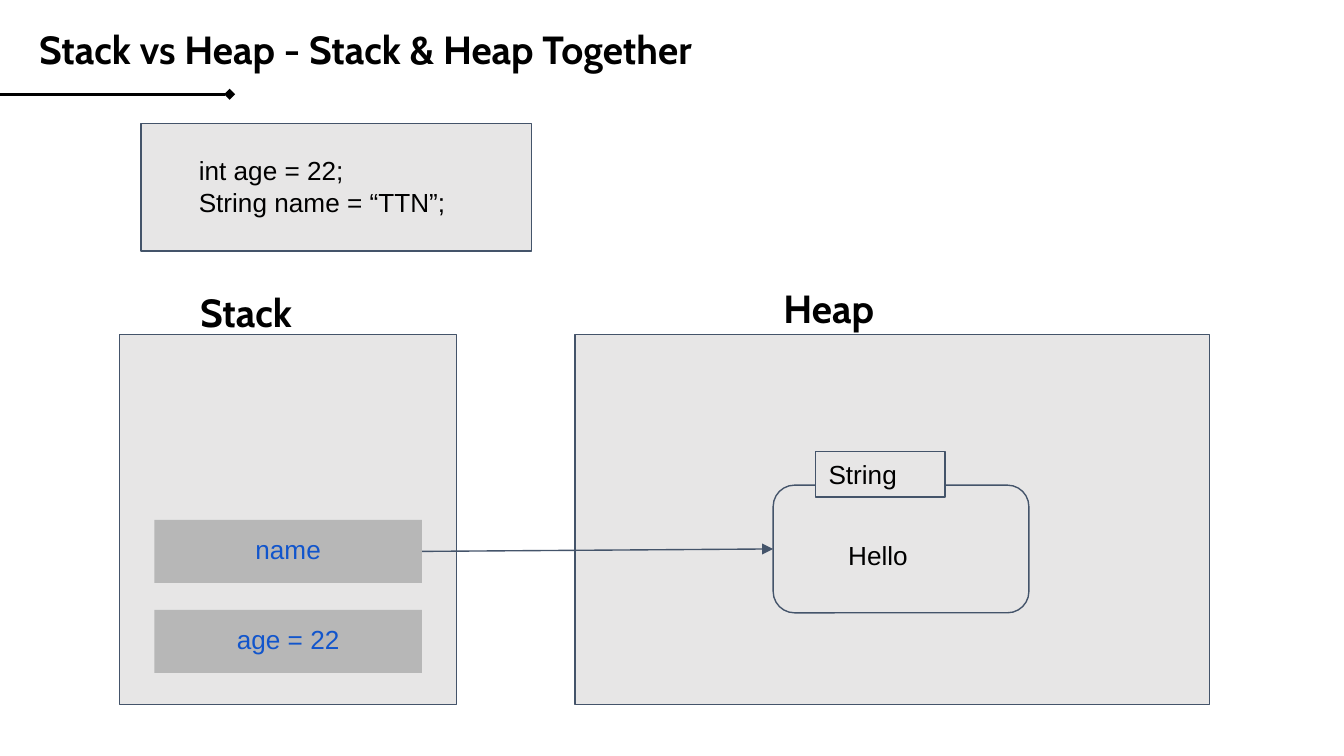
"""Build a slide showing how stack variables relate to heap objects."""
from pptx import Presentation
from pptx.dml.color import RGBColor
from pptx.enum.shapes import MSO_CONNECTOR as CONN, MSO_SHAPE as SHAPE
from pptx.enum.text import MSO_ANCHOR as ANCHOR, PP_ALIGN as ALIGN
from pptx.oxml.ns import qn
from pptx.util import Pt
from lxml.etree import SubElement

BLACK = RGBColor(0x00, 0x00, 0x00)
LIGHT = RGBColor(0xE7, 0xE6, 0xE6)
GRAY = RGBColor(0xB7, 0xB7, 0xB7)
SLATE = RGBColor(0x44, 0x54, 0x6A)
BLUE = RGBColor(0x11, 0x55, 0xCC)

prs = Presentation()
prs.slide_width, prs.slide_height = Pt(720), Pt(405)
s = prs.slides.add_slide(prs.slide_layouts[6])


def write(sp, text, font="Arial", size=14, color=BLACK, bold=False,
          align=ALIGN.LEFT, anchor=ANCHOR.TOP, inset=7.2, spacing=None):
    tf = sp.text_frame
    tf.word_wrap = True
    tf.vertical_anchor = anchor
    tf.margin_left = tf.margin_top = Pt(inset)
    tf.margin_right = tf.margin_bottom = Pt(7.2)
    for i, line in enumerate(text.split("\n")):
        p = tf.paragraphs[0] if i == 0 else tf.add_paragraph()
        p.alignment = align
        p.line_spacing = spacing
        r = p.add_run()
        r.text = line
        r.font.name, r.font.size, r.font.bold = font, Pt(size), bold
        r.font.color.rgb = color


def style_line(cn, color, width, arrow):
    cn.line.color.rgb = color
    cn.line.width = Pt(width)
    SubElement(cn.line._get_or_add_ln(), qn("a:tailEnd"), type=arrow)
    SubElement(cn._element.spPr, qn("a:effectLst"))


rule = s.shapes.add_connector(CONN.STRAIGHT, Pt(0), Pt(50.5), Pt(123), Pt(50.5))
style_line(rule, BLACK, 1.5, "diamond")

boxes = {}
for key, kind, x, y, w, h, fill in [
    ("code", SHAPE.RECTANGLE, 75.6, 66.2, 209.2, 68.4, LIGHT),
    ("stack", SHAPE.RECTANGLE, 64, 179.3, 180.7, 198.2, LIGHT),
    ("age = 22", SHAPE.RECTANGLE, 82.7, 326.7, 143.4, 33.8, GRAY),
    ("name", SHAPE.RECTANGLE, 82.7, 278.5, 143.4, 33.8, GRAY),
    ("heap", SHAPE.RECTANGLE, 308, 179.3, 340, 198.2, LIGHT),
    ("object", SHAPE.ROUNDED_RECTANGLE, 414.2, 259.9, 137, 68.4, LIGHT),
    ("String", SHAPE.RECTANGLE, 436.8, 241.8, 69.5, 24.5, LIGHT),
]:
    sp = s.shapes.add_shape(kind, Pt(x), Pt(y), Pt(w), Pt(h))
    sp.shadow.inherit = False
    sp.fill.solid()
    sp.fill.fore_color.rgb = fill
    if fill == GRAY:
        sp.line.fill.background()
        write(sp, key, color=BLUE, align=ALIGN.CENTER)
    else:
        sp.line.color.rgb = SLATE
        sp.line.width = Pt(0.75)
    boxes[key] = sp
write(boxes["String"], "String", anchor=ANCHOR.MIDDLE)

reference = s.shapes.add_connector(CONN.STRAIGHT, Pt(226.1), Pt(295.4), Pt(414.2), Pt(294.1))
reference.begin_connect(boxes["name"], 3)
reference.end_connect(boxes["object"], 1)
style_line(reference, SLATE, 0.75, "triangle")

heading = dict(font="Cabin", size=21, bold=True)
for text, x, y, w, h, fmt in [
    ("Stack vs Heap - Stack & Heap Together", 21, 16.5, 540, 28,
     dict(heading, inset=0, spacing=0.9)),
    ("int age = 22;\nString name = “TTN”;", 99.4, 75.6, 148, 60, {}),
    ("Hello", 447.3, 281.8, 64, 24.5, {}),
    ("Stack", 100.1, 147.3, 108.7, 20, heading),
    ("Heap", 412.6, 145.4, 108.7, 20, heading),
]:
    sp = s.shapes.add_textbox(Pt(x), Pt(y), Pt(w), Pt(h))
    write(sp, text, **fmt)

prs.save("out.pptx")
